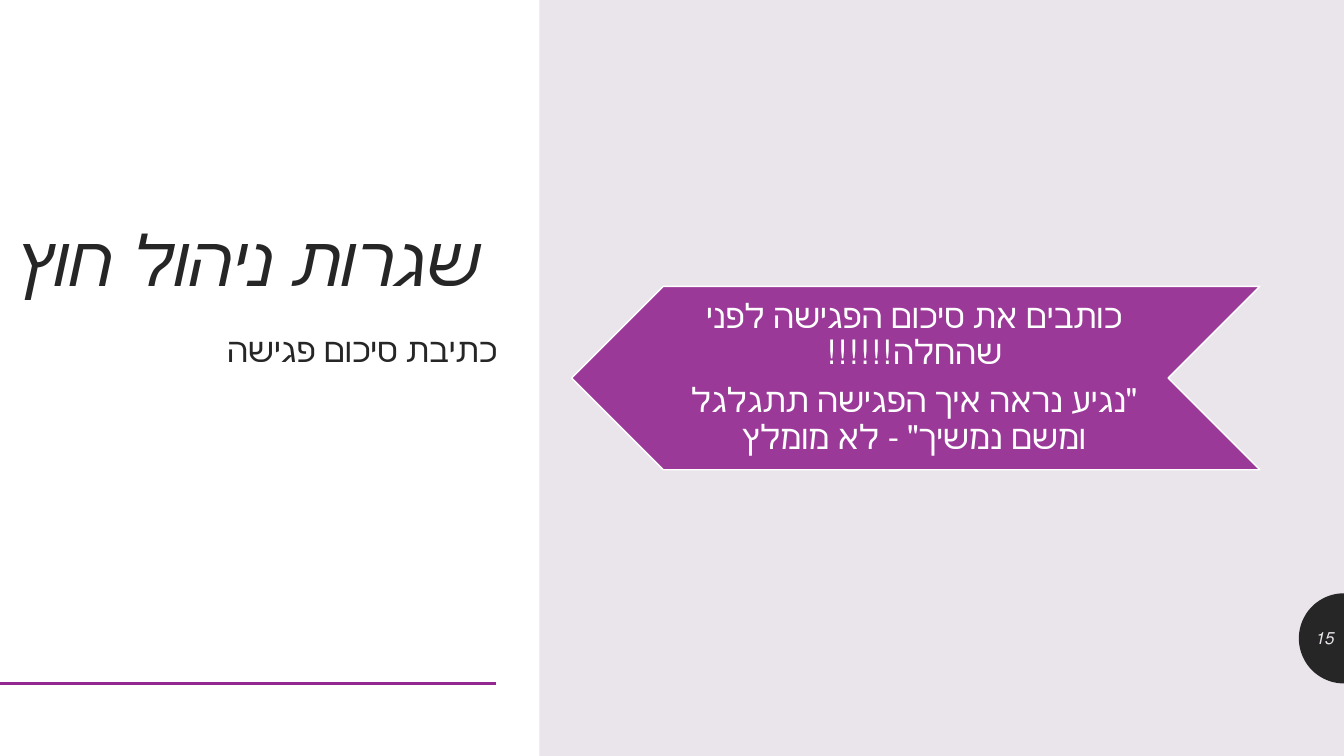
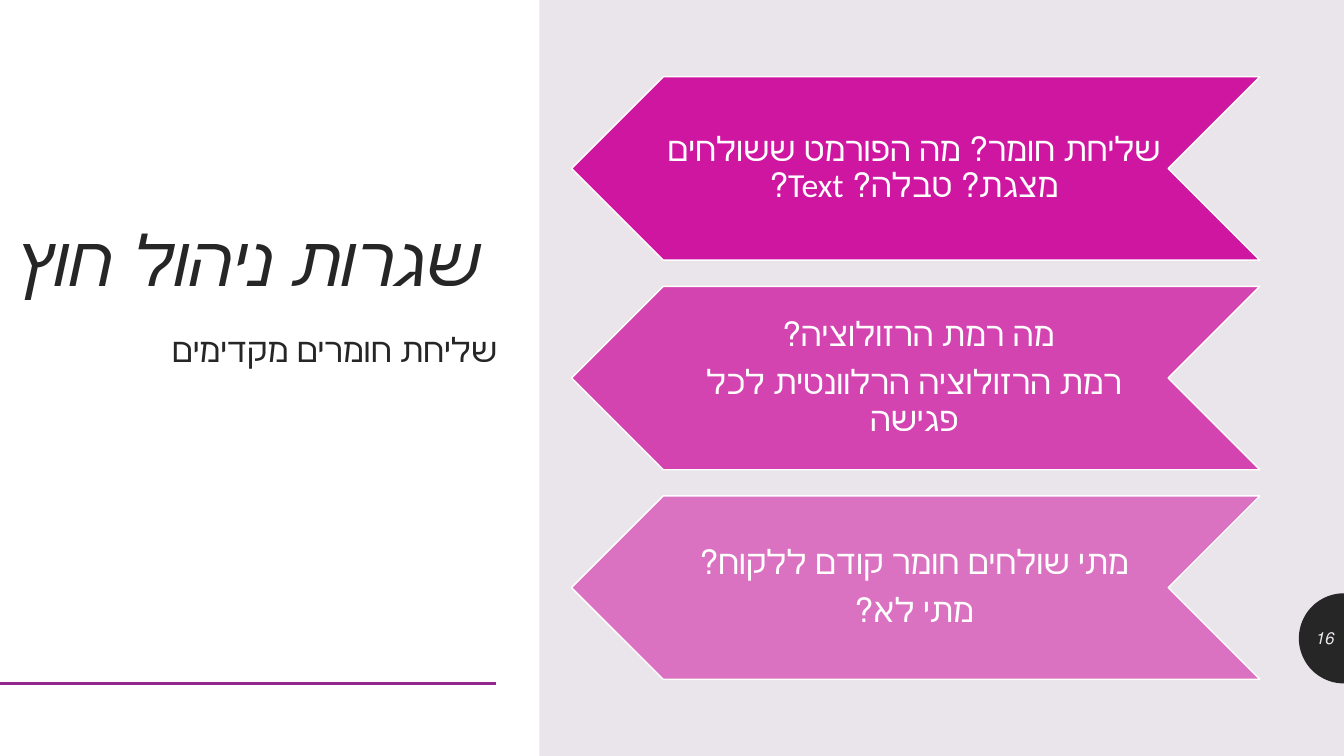
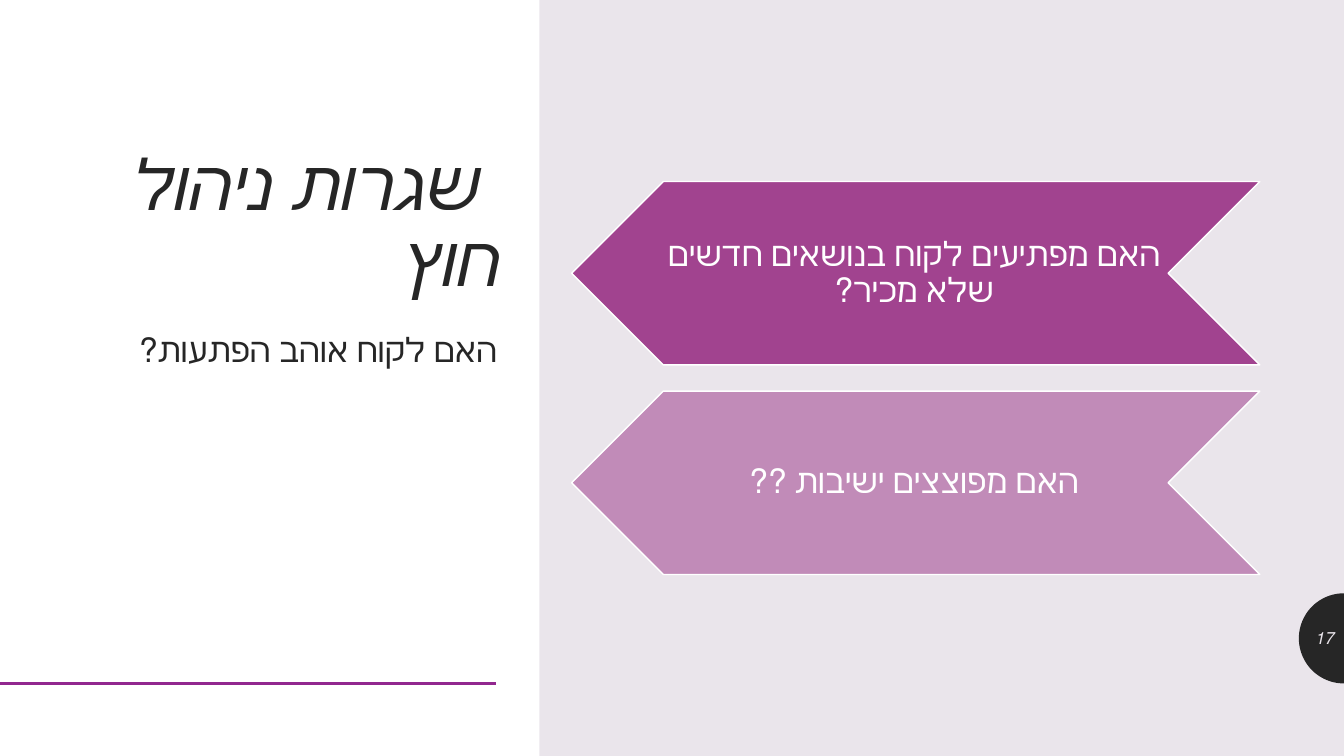
from dataclasses import dataclass
from math import cos, pi, sin

from lxml.etree import SubElement
from pptx import Presentation
from pptx.dml.color import RGBColor as RGB
from pptx.enum.lang import MSO_LANGUAGE_ID as LANG
from pptx.enum.shapes import MSO_CONNECTOR as CONN, MSO_SHAPE as SHAPE
from pptx.enum.text import MSO_ANCHOR as ANCHOR, MSO_AUTO_SIZE as AUTO, PP_ALIGN as ALIGN
from pptx.oxml.ns import qn
from pptx.util import Pt


@dataclass(frozen=True)
class Theme:
    background: RGB = RGB(0xEA, 0xE5, 0xEB)
    white: RGB = RGB(0xFF, 0xFF, 0xFF)
    ink: RGB = RGB(0x26, 0x26, 0x26)
    purple: RGB = RGB(0x92, 0x27, 0x8F)
    magenta: RGB = RGB(0xCC, 0x00, 0x99)
    plum: RGB = RGB(0x9A, 0x32, 0x86)
    heading_font: str = "Cambria"
    body_font: str = "Calibri"
    title_size: float = 50
    body_size: float = 24
    number_size: float = 12


@dataclass(frozen=True)
class Box:
    left: float
    top: float
    width: float
    height: float

    def emu(self) -> tuple:
        return Pt(self.left), Pt(self.top), Pt(self.width), Pt(self.height)


@dataclass(frozen=True)
class TextStyle:
    font: str
    size: float
    color: RGB
    italic: bool = False
    align: ALIGN = ALIGN.RIGHT
    anchor: ANCHOR = ANCHOR.TOP
    line_spacing: float = 1.0
    before: float = 0
    after: float = 0
    insets: tuple = (7.2, 3.6, 7.2, 3.6)


@dataclass(frozen=True)
class Arrow:
    opacity: int
    lines: tuple


@dataclass(frozen=True)
class Page:
    number: int
    subtitle: str
    color: RGB
    arrows: tuple
    title_left: float = 0


T = Theme()
WIDTH, HEIGHT = 960, 540
PANEL = Box(0, 0, 385.4, HEIGHT)
TEXT_RIGHT = 362.2
TITLE_TOP, TITLE_HEIGHT = 43.8, 175
SUBTITLE = Box(59.8, 228.2, 302.4, 224.6)
RULE_Y, RULE_END = 488.3, 354.3
BADGE_Y, BADGE_RADIUS, BADGE_STEPS = 456, 32.2, 48
NUMBER = Box(927.4, 441.4, 32.4, 28.8)
ARROW_LEFT, ARROW_WIDTH, ARROW_HEIGHT, ARROW_PITCH = 408.3, 491.6, 131, 149.7

TITLE_TEXT = " שגרות ניהול חוץ"
TITLE_STYLE = TextStyle(T.heading_font, T.title_size, T.ink, italic=True,
                        anchor=ANCHOR.BOTTOM, line_spacing=0.9)
SUBTITLE_STYLE = TextStyle(T.body_font, T.body_size, T.ink, line_spacing=1.12, before=9)
NUMBER_STYLE = TextStyle(T.heading_font, T.number_size, T.background, italic=True,
                         anchor=ANCHOR.MIDDLE)
ARROW_STYLE = TextStyle(T.body_font, T.body_size, T.white, align=ALIGN.CENTER,
                        anchor=ANCHOR.MIDDLE, line_spacing=0.9, after=8.4,
                        insets=(0, 1.2, 2.4, 1.2))

PAGES = (
    Page(15, "כתיבת סיכום פגישה", T.purple, (
        Arrow(90, ("כותבים את סיכום הפגישה לפני שהחלה!!!!!!",
                   "\"נגיע נראה איך הפגישה תתגלגל ומשם נמשיך\" - לא מומלץ")),
    )),
    Page(16, "שליחת חומרים מקדימים", T.magenta, (
        Arrow(90, ("שליחת חומר? מה הפורמט ששולחים מצגת? טבלה? Text?",)),
        Arrow(70, ("מה רמת הרזולוציה? ", "רמת הרזולוציה הרלוונטית לכל פגישה")),
        Arrow(50, ("מתי שולחים חומר קודם ללקוח?", "מתי לא?")),
    )),
    Page(17, "האם לקוח אוהב הפתעות?", T.plum, (
        Arrow(90, ("האם מפתיעים לקוח בנושאים חדשים שלא מכיר?",)),
        Arrow(50, ("האם מפוצצים ישיבות ??",)),
    ), title_left=13),
)


def write(sp, lines: tuple, style: TextStyle) -> None:
    tf = sp.text_frame
    tf.word_wrap = True
    tf.auto_size = AUTO.NONE
    tf.vertical_anchor = style.anchor
    tf.margin_left, tf.margin_top, tf.margin_right, tf.margin_bottom = map(Pt, style.insets)
    for i, line in enumerate(lines):
        p = tf.add_paragraph() if i else tf.paragraphs[0]
        p.alignment = style.align
        p.line_spacing = style.line_spacing
        p.space_before, p.space_after = Pt(style.before), Pt(style.after)
        p._p.get_or_add_pPr().set("rtl", "1")
        r = p.add_run()
        r.text = line
        r.font.name, r.font.size = style.font, Pt(style.size)
        r.font.italic = style.italic
        r.font.color.rgb = style.color
        r.font.language_id = LANG.HEBREW


def add_text(s, box: Box, lines: tuple, style: TextStyle) -> None:
    write(s.shapes.add_textbox(*box.emu()), lines, style)


def paint(sp, color: RGB) -> None:
    sp.shadow.inherit = False
    sp.fill.solid()
    sp.fill.fore_color.rgb = color
    sp.line.fill.background()


def add_frame(s, number: int) -> None:
    angles = [pi / 2 + pi * i / BADGE_STEPS for i in range(BADGE_STEPS + 1)]
    points = [(Pt(WIDTH + BADGE_RADIUS * cos(a)), Pt(BADGE_Y + BADGE_RADIUS * sin(a)))
              for a in angles]
    outline = s.shapes.build_freeform(*points[0])
    outline.add_line_segments(points[1:], close=True)
    paint(outline.convert_to_shape(), T.ink)

    paint(s.shapes.add_shape(SHAPE.RECTANGLE, *PANEL.emu()), T.white)

    rule = s.shapes.add_connector(CONN.STRAIGHT, 0, Pt(RULE_Y), Pt(RULE_END), Pt(RULE_Y))
    rule.line.color.rgb = T.purple
    rule.line.width = Pt(2)
    SubElement(rule._element.spPr, qn("a:effectLst"))

    add_text(s, NUMBER, (str(number),), NUMBER_STYLE)


def add_title(s, left: float) -> None:
    sp = s.shapes.title
    s.shapes._spTree.append(sp._element)
    box = Box(left, TITLE_TOP, TEXT_RIGHT - left, TITLE_HEIGHT)
    sp.left, sp.top, sp.width, sp.height = box.emu()
    write(sp, (TITLE_TEXT,), TITLE_STYLE)


def add_arrow(s, top: float, color: RGB, arrow: Arrow) -> None:
    box = Box(ARROW_LEFT, top, ARROW_WIDTH, ARROW_HEIGHT)
    sp = s.shapes.add_shape(SHAPE.CHEVRON, *box.emu())
    sp.rotation = 180
    paint(sp, color)
    sp.line.color.rgb = T.white
    sp.line.width = Pt(1)
    clr = sp._element.spPr.find(qn("a:solidFill")).find(qn("a:srgbClr"))
    SubElement(clr, qn("a:alpha")).set("val", str(arrow.opacity * 1000))
    point = ARROW_HEIGHT / 2
    label = Box(ARROW_LEFT + point, top, ARROW_WIDTH - 2 * point, ARROW_HEIGHT)
    add_text(s, label, arrow.lines, ARROW_STYLE)


def add_page(prs, page: Page) -> None:
    s = prs.slides.add_slide(prs.slide_layouts[5])
    s.background.fill.solid()
    s.background.fill.fore_color.rgb = T.background
    add_frame(s, page.number)
    add_title(s, page.title_left)
    add_text(s, SUBTITLE, (page.subtitle,), SUBTITLE_STYLE)
    first = (HEIGHT - ARROW_HEIGHT - ARROW_PITCH * (len(page.arrows) - 1)) / 2
    for i, arrow in enumerate(page.arrows):
        add_arrow(s, first + i * ARROW_PITCH, page.color, arrow)


def main() -> None:
    prs = Presentation()
    prs.slide_width, prs.slide_height = Pt(WIDTH), Pt(HEIGHT)
    for page in PAGES:
        add_page(prs, page)
    prs.save("out.pptx")


if __name__ == "__main__":
    main()
